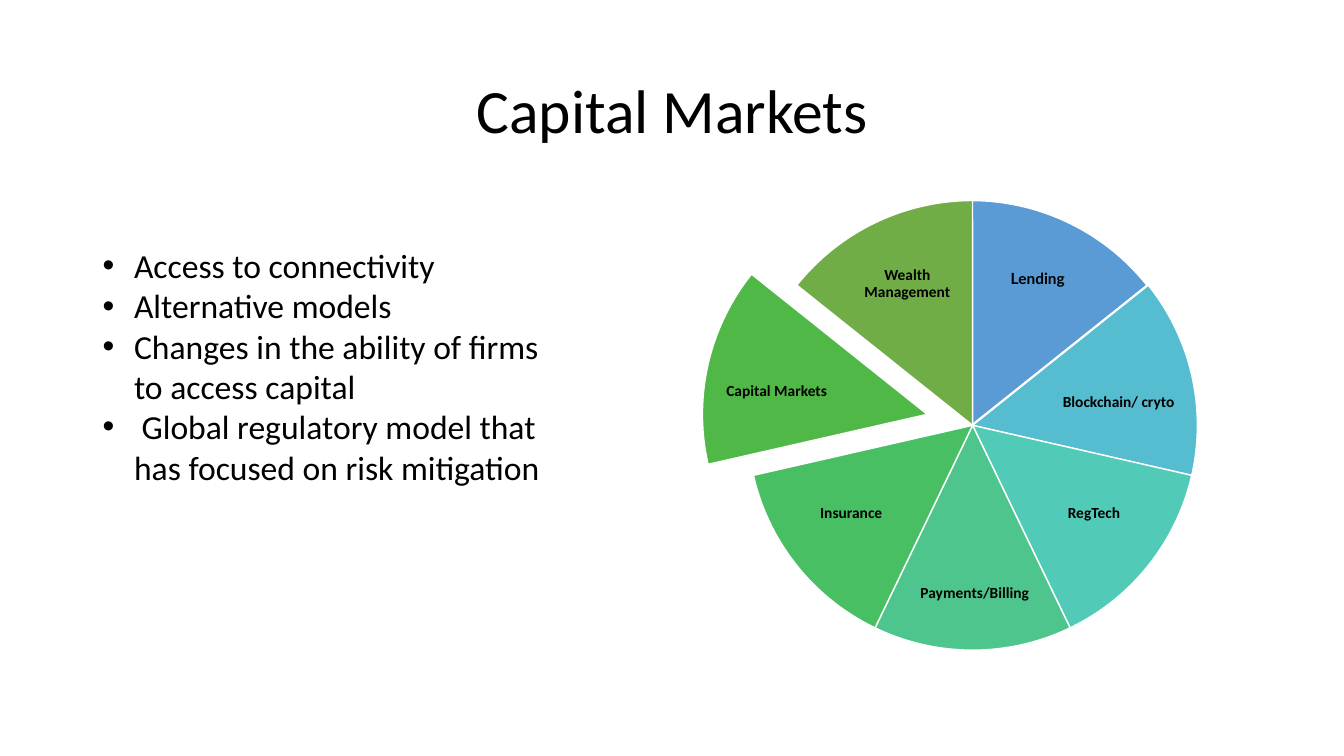
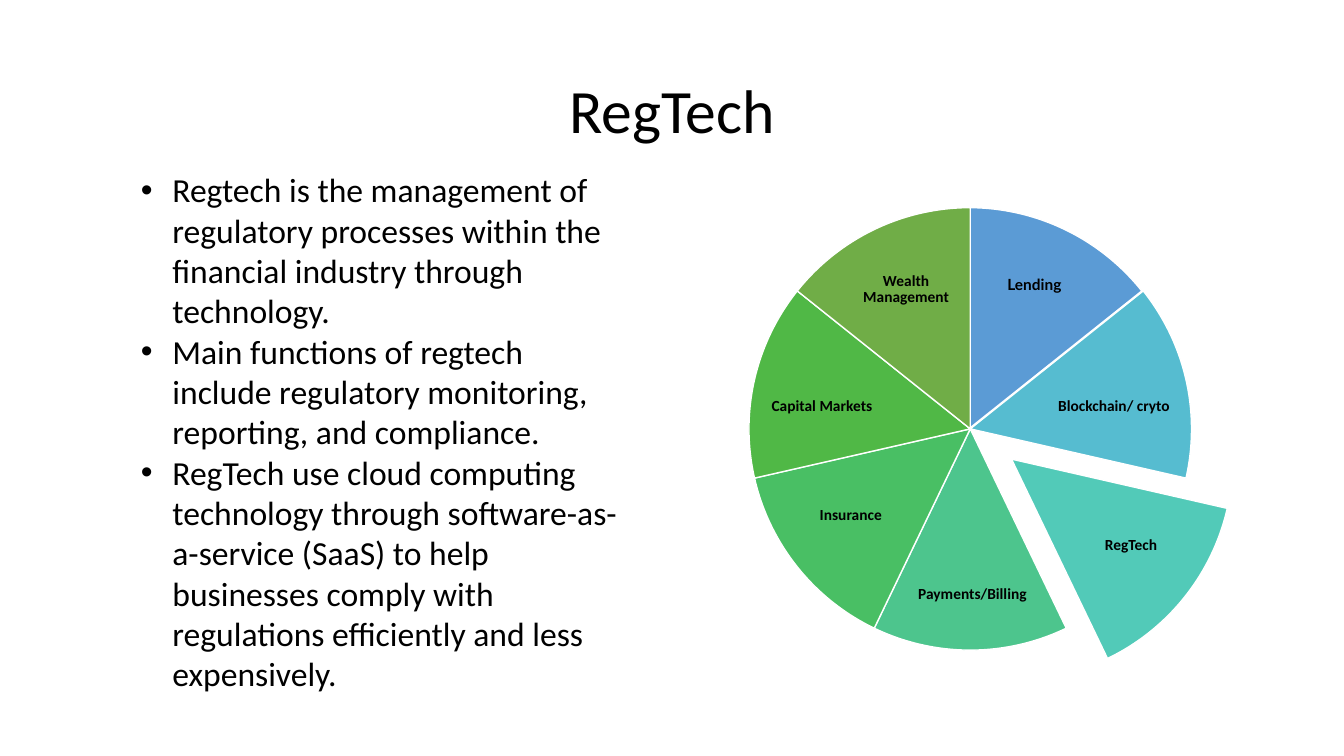
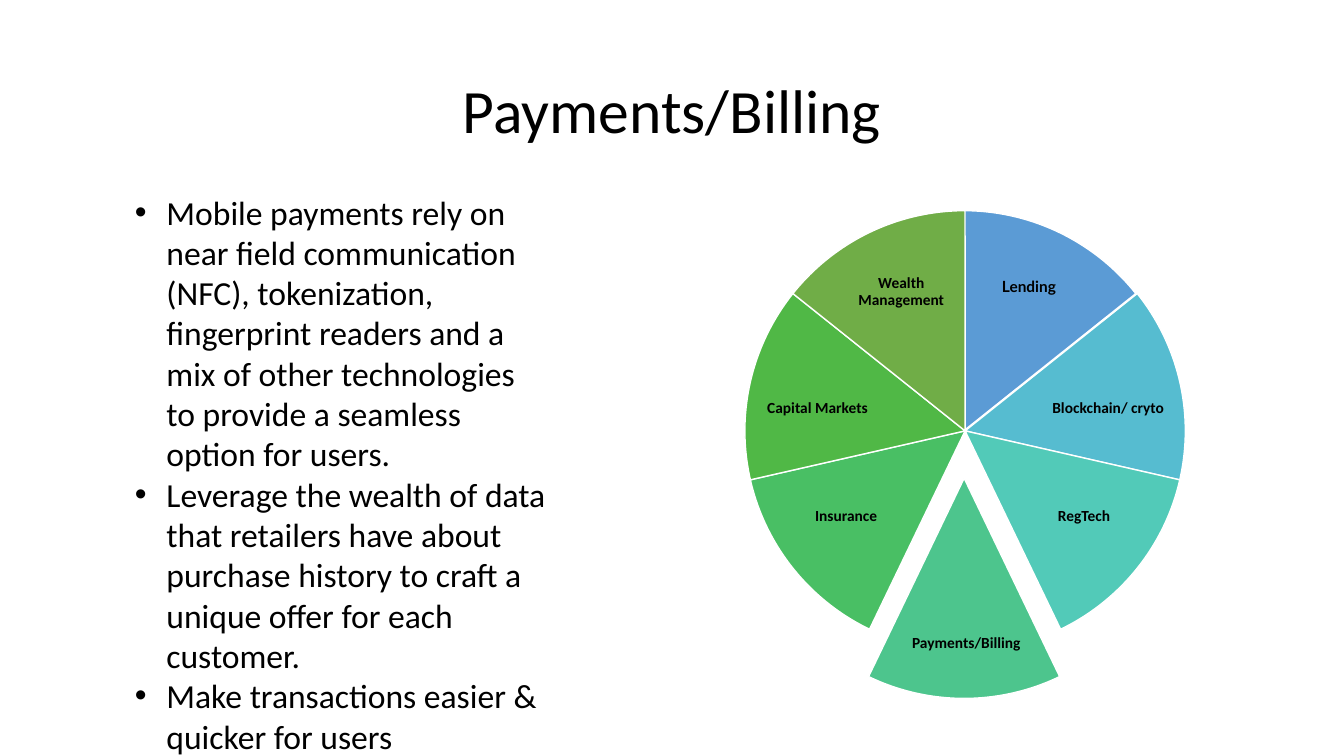
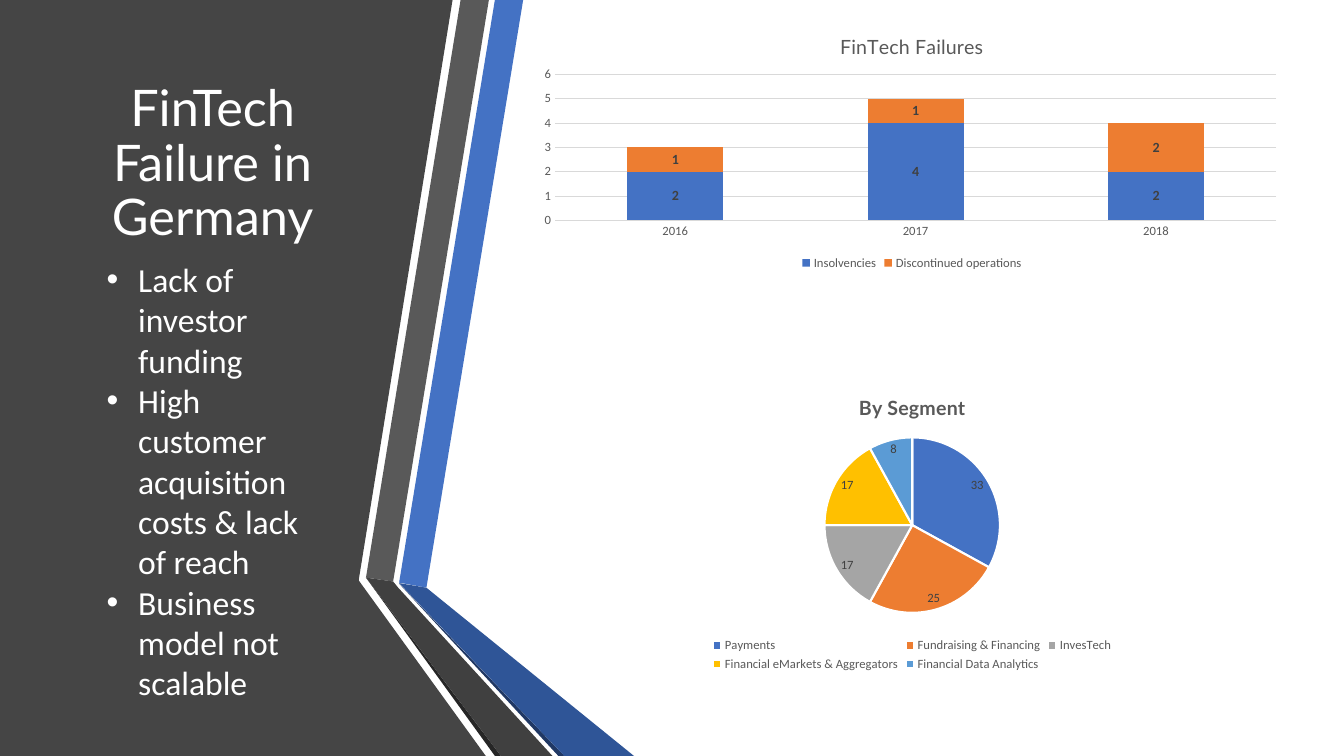
from lxml import etree
from pptx import Presentation
from pptx.chart.data import CategoryChartData
from pptx.dml.color import RGBColor
from pptx.enum.chart import XL_CHART_TYPE as CT, XL_LABEL_POSITION as LP, XL_LEGEND_POSITION as LEG, XL_TICK_MARK as TICK
from pptx.enum.shapes import MSO_SHAPE
from pptx.enum.text import MSO_ANCHOR, MSO_AUTO_SIZE, PP_ALIGN
from pptx.oxml.ns import qn
from pptx.util import Pt

COLORS = {
    "black": "000000", "white": "FFFFFF", "panel": "454545",
    "blue": "4472C4", "blue_fold": "2F5597", "blue_edge": "203864",
    "gray": "595959", "gray_fold": "404040", "gray_edge": "262626",
    "grid": "D9D9D9", "orange": "ED7D31", "silver": "A5A5A5",
    "gold": "FFC000", "sky": "5B9BD5", "cyan": "56BCD0", "teal": "52CAB8",
    "mint": "4DC58D", "emerald": "49BF64", "green": "50B846", "olive": "70AD47",
}
BODY, ACCENT = "Calibri", "Lato"
TITLE_BOX = (66.2, 28.8, 828, 104.4)

# Each sector: name, colour, font, then label box as fractions of the diameter.
SECTORS = [
    ("Lending", "sky", ACCENT, (0.51, 0.09, 0.27, 0.17)),
    ("Blockchain/ cryto", "cyan", BODY, (0.68, 0.36, 0.29, 0.18)),
    ("RegTech", "teal", BODY, (0.64, 0.6, 0.26, 0.19)),
    ("Payments/Billing", "mint", BODY, (0.37, 0.78, 0.27, 0.19)),
    ("Insurance", "emerald", BODY, (0.1, 0.6, 0.26, 0.19)),
    ("Capital Markets", "green", BODY, (0.02, 0.36, 0.29, 0.18)),
    ("Wealth Management", "olive", BODY, (0.22, 0.1, 0.27, 0.17)),
]

SECTOR_SLIDES = [
    ("Capital Markets", (534.2, 143.3, 321.1), (-32.4, -7.9), (66.2, 171.4, 349.9, 181.4), [
        "Access to connectivity",
        "Alternative models",
        "Changes in the ability of firms to access capital",
        " Global regulatory model that has focused on risk mitigation",
    ]),
    ("RegTech", (535, 148.3, 316.1), (29.5, 21.6), (93.6, 117.4, 355, 385.2), [
        "Regtech is the management of regulatory processes within the financial industry through technology.",
        "Main functions of regtech include regulatory monitoring, reporting, and compliance.",
        "RegTech use cloud computing technology through software-as-a-service (SaaS) to help businesses "
        "comply with regulations efficiently and less expensively.",
    ]),
    ("Payments/Billing", (532.1, 150.5, 314.6), (-0.7, 33.8), (89.3, 133.2, 308.9, 414.7), [
        "Mobile payments rely on near field communication (NFC), tokenization, fingerprint readers and a mix "
        "of other technologies to provide a seamless option for users.",
        "Leverage the wealth of data that retailers have about purchase history to craft a unique offer "
        "for each customer.",
        "Make transactions easier & quicker for users",
    ]),
]

RIBBONS = [
    ("panel", [(0, 0), (254.2, 0), (323.3, 0), (256.3, 414), (256.3, 414.7), (347, 540), (0, 540)]),
    ("blue", [(285.1, 416.2), (304.6, 419.8), (373.7, 0), (353.5, 0)]),
    ("gray", [(349.2, 0), (329, 0), (261.4, 412.6), (280.8, 415.4)]),
    ("gray_edge", [(261.4, 412.6), (353.5, 540), (357.8, 540)]),
    ("blue_edge", [(285.1, 416.9), (398.9, 540), (403.2, 540)]),
    ("blue_fold", [(285.1, 416.5), (403.2, 540), (452.9, 540), (304.6, 419.8)]),
    ("gray_fold", [(394.6, 540), (284.4, 419.8), (280.8, 415.4), (261.4, 412.6), (357.8, 540)]),
]


def rgb(name):
    """Return the named colour."""
    return RGBColor.from_string(COLORS[name])


def pts(box):
    """Turn a box of numbers into lengths in points."""
    return [Pt(v) for v in box]


def style_font(font, size, color, name=BODY, bold=False):
    """Format one font."""
    font.size, font.name, font.bold = Pt(size), name, bold
    font.color.rgb = rgb(color)


def style_paragraph(p, size, color, name=BODY, bold=False):
    """Centre a tightly set paragraph and format its runs."""
    p.alignment, p.line_spacing = PP_ALIGN.CENTER, 0.9
    for r in p.runs:
        style_font(r.font, size, color, name, bold)


def paint(sp, color):
    """Give a shape a flat fill without line or shadow."""
    sp.shadow.inherit = False
    sp.fill.solid()
    sp.fill.fore_color.rgb = rgb(color)
    sp.line.fill.background()


def add_title(slide, text, box=TITLE_BOX, size=44, color="black", name=BODY):
    """Place and format the title placeholder."""
    sp = slide.shapes.title
    sp.left, sp.top, sp.width, sp.height = pts(box)
    tf = sp.text_frame
    tf.text = text
    tf.word_wrap, tf.auto_size = True, MSO_AUTO_SIZE.NONE
    tf.vertical_anchor = MSO_ANCHOR.MIDDLE
    style_paragraph(tf.paragraphs[0], size, color, name)


def add_bullets(slide, box, items, color="black"):
    """Add a bulleted text box."""
    tf = slide.shapes.add_textbox(*pts(box)).text_frame
    tf.word_wrap = True
    tf.text = "\n".join(items)
    for p in tf.paragraphs:
        pPr = p._p.get_or_add_pPr()
        pPr.set("marL", str(Pt(22.5)))
        pPr.set("indent", str(-Pt(22.5)))
        etree.SubElement(pPr, qn("a:buFont")).set("typeface", "Arial")
        etree.SubElement(pPr, qn("a:buChar")).set("char", "•")
        for r in p.runs:
            style_font(r.font, 24, color)


def add_sector_label(shapes, text, font, box):
    """Add the label of one sector."""
    tf = shapes.add_textbox(*pts(box)).text_frame
    tf.text = text
    tf.word_wrap, tf.vertical_anchor = True, MSO_ANCHOR.MIDDLE
    tf.margin_left = tf.margin_right = tf.margin_top = tf.margin_bottom = Pt(1.4)
    style_paragraph(tf.paragraphs[0], 11, "black", font, True)


def add_sector_wheel(slide, box, active, shift):
    """Draw equal sectors from the top, with the active one pulled out."""
    left, top, size = box
    shapes = slide.shapes.add_group_shape().shapes
    step = 360 / len(SECTORS)
    for i, (text, color, font, (fx, fy, fw, fh)) in enumerate(SECTORS):
        dx, dy = shift if text == active else (0, 0)
        x, y = left + dx, top + dy
        sp = shapes.add_shape(MSO_SHAPE.PIE, *pts((x - (i == 0), y, size, size)))
        paint(sp, color)
        sp.line.color.rgb, sp.line.width = rgb("white"), Pt(1)
        for k in (0, 1):
            sp.adjustments[k] = (270 + (i + k) * step) % 360 * 0.6
        add_sector_label(shapes, text, font, (x + fx * size, y + fy * size, fw * size, fh * size))


def add_ribbons(slide):
    """Draw the dark panel and its folded ribbons."""
    for color, points in RIBBONS:
        start, *rest = [pts(point) for point in points]
        builder = slide.shapes.build_freeform(*start)
        builder.add_line_segments(rest, close=True)
        paint(builder.convert_to_shape(), color)


def set_plot_area(chart, box):
    """Fix the inner plot area as fractions of the chart."""
    area = chart.element.find(".//" + qn("c:plotArea"))
    layout = area.find(qn("c:layout"))
    if layout is None:
        layout = etree.Element(qn("c:layout"))
        area.insert(0, layout)
    manual = etree.SubElement(layout, qn("c:manualLayout"))
    settings = [("layoutTarget", "inner"), ("xMode", "edge"), ("yMode", "edge"), *zip("xywh", box)]
    for tag, value in settings:
        etree.SubElement(manual, qn("c:" + tag)).set("val", str(value))


def add_chart(slide, kind, box, title, cats, series, plot_box, bold=False):
    """Add a chart with a title and a bottom legend."""
    data = CategoryChartData()
    data.categories = cats
    for name, values in series:
        data.add_series(name, values)
    chart = slide.shapes.add_chart(kind, *pts(box), data).chart
    style_font(chart.font, 10, "black")
    chart.has_title = True
    tf = chart.chart_title.text_frame
    tf.text = title
    style_font(tf.paragraphs[0].runs[0].font, 14, "gray", ACCENT, bold)
    chart.chart_title.include_in_layout = False
    chart.has_legend = True
    chart.legend.position, chart.legend.include_in_layout = LEG.BOTTOM, False
    style_font(chart.legend.font, 9, "gray")
    set_plot_area(chart, plot_box)
    return chart


def add_labels(owner, size, position, bold=False):
    """Show the values of a series or plot."""
    labels = owner.data_labels
    labels.show_value, labels.position = True, position
    style_font(labels.font, size, "gray_fold", bold=bold)


def add_failures_chart(slide, box):
    """Add the stacked columns of failures by year."""
    chart = add_chart(slide, CT.COLUMN_STACKED, box, "FinTech Failures", ["2016", "2017", "2018"],
                      [("Insolvencies", (2, 4, 2)), ("Discontinued operations", (1, 1, 2))],
                      (0.03, 0.22, 0.95, 0.57))
    plot = chart.plots[0]
    plot.gap_width, plot.overlap, plot.vary_by_categories = 150, 100, False
    for s, color in zip(plot.series, ("blue", "orange")):
        s.format.fill.solid()
        s.format.fill.fore_color.rgb = rgb(color)
        add_labels(s, 10, LP.CENTER, True)
    for axis in (chart.category_axis, chart.value_axis):
        axis.major_tick_mark = axis.minor_tick_mark = TICK.NONE
        axis.format.line.fill.background()
        style_font(axis.tick_labels.font, 9, "gray")
    axis = chart.value_axis
    axis.minimum_scale, axis.maximum_scale, axis.major_unit = 0, 6, 1
    line = axis.major_gridlines.format.line
    line.color.rgb, line.width = rgb("grid"), Pt(0.75)


def add_segment_chart(slide, box):
    """Add the pie of failures by segment."""
    cats = ["Payments", "Fundraising & Financing", "InvesTech",
            "Financial eMarkets & Aggregators", "Financial Data Analytics"]
    chart = add_chart(slide, CT.PIE, box, "By Segment", cats, [("Series 1", (33, 25, 17, 17, 8))],
                      (0.37, 0.2, 0.26, 0.59), True)
    plot = chart.plots[0]
    plot.vary_by_categories = True
    s = plot.series[0]
    for i, color in enumerate(("blue", "orange", "silver", "gold", "sky")):
        fmt = s.points[i].format
        fmt.fill.solid()
        fmt.fill.fore_color.rgb = rgb(color)
        fmt.line.color.rgb, fmt.line.width = rgb("white"), Pt(1.5)
    add_labels(s, 9, LP.BEST_FIT)


def add_sector_slide(prs, title, wheel_box, shift, text_box, items):
    """Add a slide on one sector of the wheel."""
    slide = prs.slides.add_slide(prs.slide_layouts[5])
    add_title(slide, title)
    add_sector_wheel(slide, wheel_box, title, shift)
    add_bullets(slide, text_box, items)


def add_failure_slide(prs):
    """Add the slide on failures with its two charts."""
    slide = prs.slides.add_slide(prs.slide_layouts[5])
    add_ribbons(slide)
    add_title(slide, "FinTech Failure in Germany", (42.5, 54, 218.9, 127.4), 36, "white", ACCENT)
    title = slide.shapes.title.element
    title.getparent().append(title)
    add_failures_chart(slide, (380.2, 13, 542.2, 182.9))
    add_segment_chart(slide, (407.5, 270, 488.2, 212.4))
    add_bullets(slide, (69.1, 181.4, 164.2, 326.9), [
        "Lack of investor funding",
        "High customer acquisition costs & lack of reach",
        "Business model not scalable",
    ], "white")


def main():
    """Build and save the presentation."""
    prs = Presentation()
    prs.slide_width, prs.slide_height = Pt(960), Pt(540)
    for content in SECTOR_SLIDES:
        add_sector_slide(prs, *content)
    add_failure_slide(prs)
    prs.save("out.pptx")


if __name__ == "__main__":
    main()
